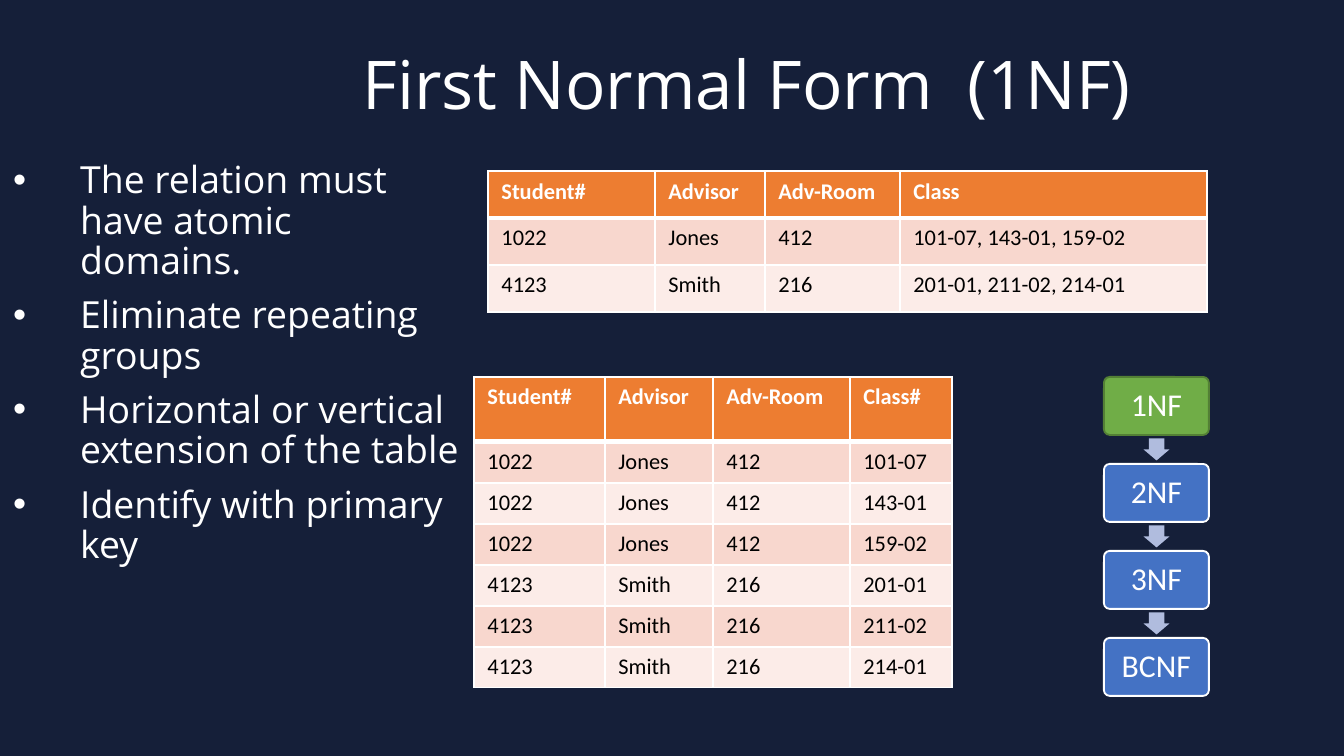
from dataclasses import dataclass

import lxml.etree
import pptx
import pptx.dml.color
import pptx.enum.shapes
import pptx.enum.text
import pptx.oxml.ns
import pptx.util

SLIDE_WIDTH, SLIDE_HEIGHT = 1344, 756
EMU_PER_PX = 9144000 / SLIDE_WIDTH


@dataclass(frozen=True)
class Theme:
    background: str = "151F39"
    light: str = "FFFFFF"
    dark: str = "000000"
    header: str = "ED7D31"
    bands: tuple[str, str] = ("F8D7CE", "FCECE8")
    current: str = "70AD47"
    current_line: str = "538035"
    step: str = "4472C4"
    arrow: str = "B0BCDE"
    text_font: str = "Open Sans"
    label_font: str = "Calibri"
    title_size: int = 36
    bullet_size: int = 20
    cell_size: int = 12
    step_size: int = 17


@dataclass(frozen=True)
class Grid:
    left: int
    top: int
    columns: tuple[int, ...]
    header_height: int
    row_height: int
    rows: tuple[tuple[str, ...], ...]


@dataclass(frozen=True)
class Step:
    label: str
    fill: str
    line: str


THEME = Theme()

BULLETS = (
    "The relation must have atomic domains.",
    "Eliminate repeating groups",
    "Horizontal or vertical extension of the table",
    "Identify with primary key",
)

STUDENTS = (
    ("1022", "Jones", "412", ("101-07", "143-01", "159-02")),
    ("4123", "Smith", "216", ("201-01", "211-02", "214-01")),
)

GRIDS = (
    Grid(488, 171, (167, 110, 135, 307), 47, 47,
         (("Student#", "Advisor", "Adv-Room", "Class"),
          *((*person, ", ".join(classes)) for *person, classes in STUDENTS))),
    Grid(474, 377, (131, 108, 137, 102), 65, 41,
         (("Student#", "Advisor", "Adv-Room", "Class#"),
          *((*person, entry) for *person, classes in STUDENTS for entry in classes))),
)

STEPS = (
    Step("1NF", THEME.current, THEME.current_line),
    *(Step(label, THEME.step, THEME.light) for label in ("2NF", "3NF", "BCNF")),
)
STEP_LEFT, STEP_TOP, STEP_WIDTH, STEP_HEIGHT, STEP_PITCH = 1104, 377, 105, 58, 87
ARROW_LENGTH, ARROW_BREADTH = 22, 26


def px(length: float) -> pptx.util.Emu:
    return pptx.util.Emu(round(length * EMU_PER_PX))


def color(value: str) -> pptx.dml.color.RGBColor:
    return pptx.dml.color.RGBColor.from_string(value)


def format_paragraph(paragraph, size: int, font: str, text_color: str, bold: bool = False) -> None:
    paragraph.font.size = pptx.util.Pt(size)
    paragraph.font.name = font
    paragraph.font.bold = bold
    paragraph.font.color.rgb = color(text_color)


def space_paragraph(paragraph) -> None:
    paragraph.line_spacing = 0.9
    paragraph.space_before = pptx.util.Pt(7.5)


def add_child(parent, tag: str, **attributes: str):
    return lxml.etree.SubElement(parent, pptx.oxml.ns.qn(tag), attributes)


def set_title(slide) -> None:
    title = slide.shapes.title
    title.left, title.top, title.width, title.height = map(px, (349, 29, 938, 102))
    frame = title.text_frame
    frame.text = "First Normal Form  (1NF)"
    frame.word_wrap = True
    frame.auto_size = pptx.enum.text.MSO_AUTO_SIZE.NONE
    frame.vertical_anchor = pptx.enum.text.MSO_ANCHOR.BOTTOM
    paragraph = frame.paragraphs[0]
    paragraph.alignment = pptx.enum.text.PP_ALIGN.LEFT
    space_paragraph(paragraph)
    format_paragraph(paragraph, THEME.title_size, THEME.text_font, THEME.light)


def add_bullets(slide) -> None:
    frame = slide.shapes.add_textbox(*map(px, (0, 155, 474, 551))).text_frame
    frame.word_wrap = True
    frame.text = "\n".join(BULLETS)
    indent = px(67)
    for paragraph in frame.paragraphs:
        space_paragraph(paragraph)
        format_paragraph(paragraph, THEME.bullet_size, THEME.text_font, THEME.light)
        properties = paragraph._p.get_or_add_pPr()
        properties.set("marL", str(indent))
        properties.set("indent", str(-indent))
        bullet_font = add_child(properties, "a:buFont", typeface="Arial")
        bullet = add_child(properties, "a:buChar", char="•")
        properties.insert_element_before(bullet_font, "a:defRPr")
        properties.insert_element_before(bullet, "a:defRPr")


def set_borders(cell, top: int, bottom: int) -> None:
    properties = cell._tc.get_or_add_tcPr()
    for side, points in (("L", 1), ("R", 1), ("T", top), ("B", bottom)):
        line = add_child(properties, f"a:ln{side}", w=str(pptx.util.Pt(points)))
        add_child(add_child(line, "a:solidFill"), "a:srgbClr", val=THEME.light)


def add_grid(slide, grid: Grid) -> None:
    heights = [grid.header_height] + [grid.row_height] * (len(grid.rows) - 1)
    table = slide.shapes.add_table(
        len(grid.rows), len(grid.columns), px(grid.left), px(grid.top),
        px(sum(grid.columns)), px(sum(heights))).table
    for column, width in zip(table.columns, grid.columns):
        column.width = px(width)
    for row_index, (row, height, texts) in enumerate(zip(table.rows, heights, grid.rows)):
        row.height = px(height)
        is_header = row_index == 0
        fill = THEME.header if is_header else THEME.bands[(row_index - 1) % 2]
        for cell, text in zip(row.cells, texts):
            set_borders(cell, 3 if row_index == 1 else 1, 3 if is_header else 1)
            cell.fill.solid()
            cell.fill.fore_color.rgb = color(fill)
            cell.text = text
            format_paragraph(cell.text_frame.paragraphs[0], THEME.cell_size, THEME.label_font,
                             THEME.light if is_header else THEME.dark, is_header)


def add_filled_shape(slide, kind, box: tuple[float, ...], fill: str):
    shape = slide.shapes.add_shape(kind, *map(px, box))
    shape.shadow.inherit = False
    shape.fill.solid()
    shape.fill.fore_color.rgb = color(fill)
    return shape


def add_step(slide, step: Step, top: int) -> None:
    shape = add_filled_shape(slide, pptx.enum.shapes.MSO_SHAPE.ROUNDED_RECTANGLE,
                             (STEP_LEFT, top, STEP_WIDTH, STEP_HEIGHT), step.fill)
    shape.adjustments[0] = 0.1
    shape.line.color.rgb = color(step.line)
    shape.line.width = pptx.util.Pt(1)
    frame = shape.text_frame
    frame.margin_left = frame.margin_right = frame.margin_top = frame.margin_bottom = px(11)
    frame.vertical_anchor = pptx.enum.text.MSO_ANCHOR.MIDDLE
    frame.text = step.label
    paragraph = frame.paragraphs[0]
    paragraph.alignment = pptx.enum.text.PP_ALIGN.CENTER
    paragraph.line_spacing = 0.9
    format_paragraph(paragraph, THEME.step_size, THEME.label_font, THEME.light)


def add_step_arrow(slide, step_top: int) -> None:
    center_x = STEP_LEFT + STEP_WIDTH / 2
    center_y = step_top + (STEP_HEIGHT + STEP_PITCH) / 2
    arrow = add_filled_shape(
        slide, pptx.enum.shapes.MSO_SHAPE.RIGHT_ARROW,
        (center_x - ARROW_LENGTH / 2, center_y - ARROW_BREADTH / 2, ARROW_LENGTH, ARROW_BREADTH),
        THEME.arrow)
    arrow.rotation = 90
    arrow.adjustments[0] = 0.6
    arrow.adjustments[1] = 0.5
    arrow.line.fill.background()


def main() -> None:
    presentation = pptx.Presentation()
    presentation.slide_width = px(SLIDE_WIDTH)
    presentation.slide_height = px(SLIDE_HEIGHT)
    slide = presentation.slides.add_slide(presentation.slide_layouts.get_by_name("Title Only"))
    slide.background.fill.solid()
    slide.background.fill.fore_color.rgb = color(THEME.background)
    set_title(slide)
    add_bullets(slide)
    for grid in GRIDS:
        add_grid(slide, grid)
    for index, step in enumerate(STEPS):
        top = STEP_TOP + index * STEP_PITCH
        add_step(slide, step, top)
        if index < len(STEPS) - 1:
            add_step_arrow(slide, top)
    presentation.save("out.pptx")


if __name__ == "__main__":
    main()
